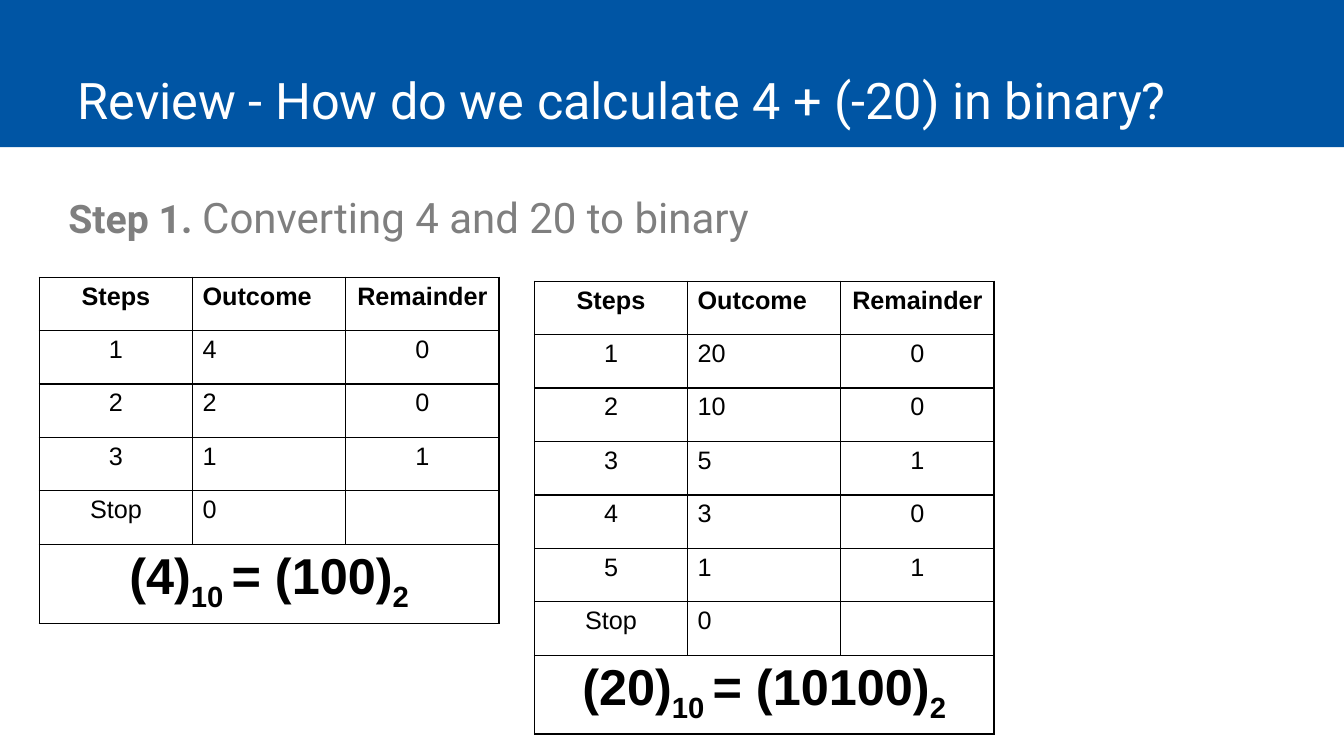
from lxml import etree
from pptx import Presentation
from pptx.dml.color import RGBColor
from pptx.enum.shapes import MSO_SHAPE
from pptx.enum.text import MSO_ANCHOR, MSO_AUTO_SIZE, PP_ALIGN
from pptx.oxml.ns import qn
from pptx.util import Inches, Pt

RECTANGLE = MSO_SHAPE.RECTANGLE
BOTTOM = MSO_ANCHOR.BOTTOM
NO_AUTOFIT = MSO_AUTO_SIZE.NONE
LEFT, CENTER = PP_ALIGN.LEFT, PP_ALIGN.CENTER

TITLE_ONLY = 5
COLUMN, ROW, RESULT_ROW = 1.52, 0.53, 0.77
HEADERS = ("Steps", "Outcome", "Remainder")
ALIGNMENTS = (CENTER, LEFT, CENTER)
BLUE, WHITE, GREY, BLACK = "0055A4", "FFFFFF", "7F7F7F", "000000"


def color(value):
    return RGBColor.from_string(value)


def inches(*lengths):
    return [Inches(length) for length in lengths]


def add_span(para, text, size, font="Arial", fill=BLACK, bold=False, baseline=0):
    span = para.add_run()
    span.text = text
    span.font.size = Pt(size)
    span.font.name = font
    span.font.bold = bold
    span.font.color.rgb = color(fill)
    if baseline:
        span.font._element.set("baseline", str(baseline * 1000))


def add_band(page, width, height):
    band = page.shapes.add_shape(RECTANGLE, 0, 0, *inches(width, height))
    band.shadow.inherit = False
    band.fill.solid()
    band.fill.fore_color.rgb = color(BLUE)
    band.line.fill.background()
    band.element.getparent().insert(2, band.element)


def set_title(page, text):
    title = page.shapes.title
    title.left, title.top, title.width, title.height = inches(0.67, 0, 11.75, 1.34)
    frame = title.text_frame
    frame.auto_size = NO_AUTOFIT
    frame.word_wrap = True
    frame.vertical_anchor = BOTTOM
    para = frame.paragraphs[0]
    para.alignment = LEFT
    add_span(para, text, 36, "Roboto", WHITE)


def add_step(page, label, text):
    box = page.shapes.add_textbox(*inches(0.58, 1.91, 12.1, 0.7))
    box.text_frame.word_wrap = True
    para = box.text_frame.paragraphs[0]
    para.line_spacing = 0.9
    add_span(para, label, 28, "Roboto", GREY, bold=True)
    add_span(para, text, 30, "Roboto", GREY)


def style_cell(cell):
    cell.fill.background()
    properties = cell._tc.get_or_add_tcPr()
    for position, side in enumerate(("lnL", "lnR", "lnT", "lnB")):
        border = etree.Element(qn(f"a:{side}"), w=str(Pt(1)))
        fill = etree.SubElement(border, qn("a:solidFill"))
        etree.SubElement(fill, qn("a:srgbClr"), val=BLACK)
        properties.insert(position, border)


def add_division_table(page, left, top, divisions, decimal, binary):
    steps = [(str(step), *values) for step, values in enumerate(divisions, 1)]
    lines = [HEADERS, *steps, ("Stop", "0", "")]
    height = len(lines) * ROW + RESULT_ROW
    frame = page.shapes.add_table(
        len(lines) + 1, len(HEADERS),
        *inches(left, top, len(HEADERS) * COLUMN, height))
    table = frame.table
    for column in table.columns:
        column.width = Inches(COLUMN)
    for row in table.rows:
        row.height = Inches(ROW)
    table.rows[len(lines)].height = Inches(RESULT_ROW)
    for cell in table.iter_cells():
        style_cell(cell)

    for row, line in enumerate(lines):
        for column, text in enumerate(line):
            para = table.cell(row, column).text_frame.paragraphs[0]
            para.alignment = ALIGNMENTS[column]
            if text:
                add_span(para, text, 18, bold=row == 0)

    result = table.cell(len(lines), 0)
    result.merge(table.cell(len(lines), len(HEADERS) - 1))
    para = result.text_frame.paragraphs[0]
    para.alignment = CENTER
    equation = ((f"({decimal})", 0), ("10 ", -25), (f"= ({binary})", 0), ("2", -25))
    for text, baseline in equation:
        add_span(para, text, 36, bold=True, baseline=baseline)


def main():
    deck = Presentation()
    deck.slide_width, deck.slide_height = inches(13.33, 7.5)
    page = deck.slides.add_slide(deck.slide_layouts[TITLE_ONLY])
    add_band(page, 13.33, 1.46)
    set_title(page, "Review - How do we calculate 4 + (-20) in binary?")
    add_step(page, "Step 1. ", "Converting 4 and 20 to binary")
    add_division_table(
        page, 0.39, 2.75, (("4", "0"), ("2", "0"), ("1", "1")), "4", "100")
    add_division_table(
        page, 5.3, 2.79,
        (("20", "0"), ("10", "0"), ("5", "1"), ("3", "0"), ("1", "1")),
        "20", "10100")
    deck.save("out.pptx")


if __name__ == "__main__":
    main()
